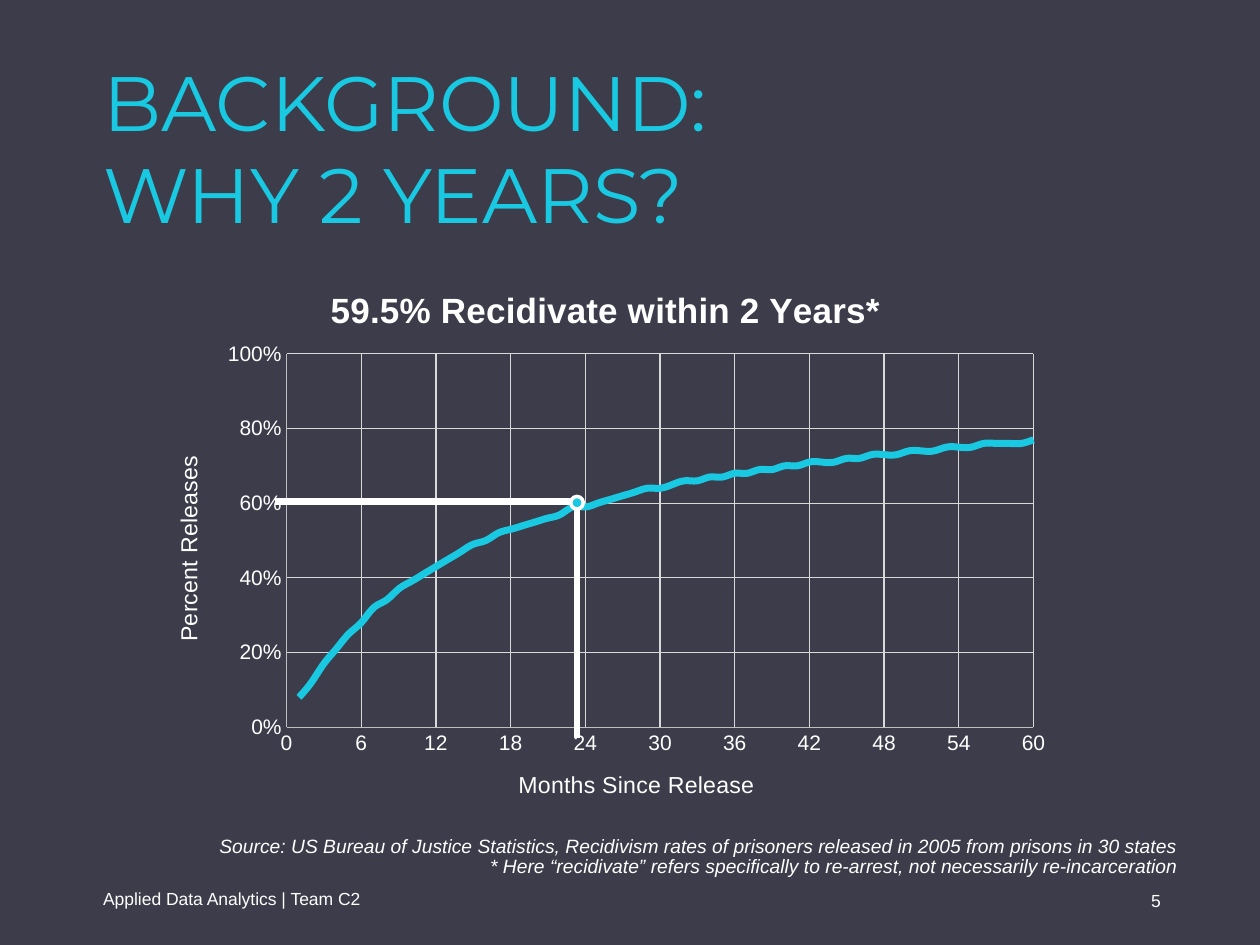
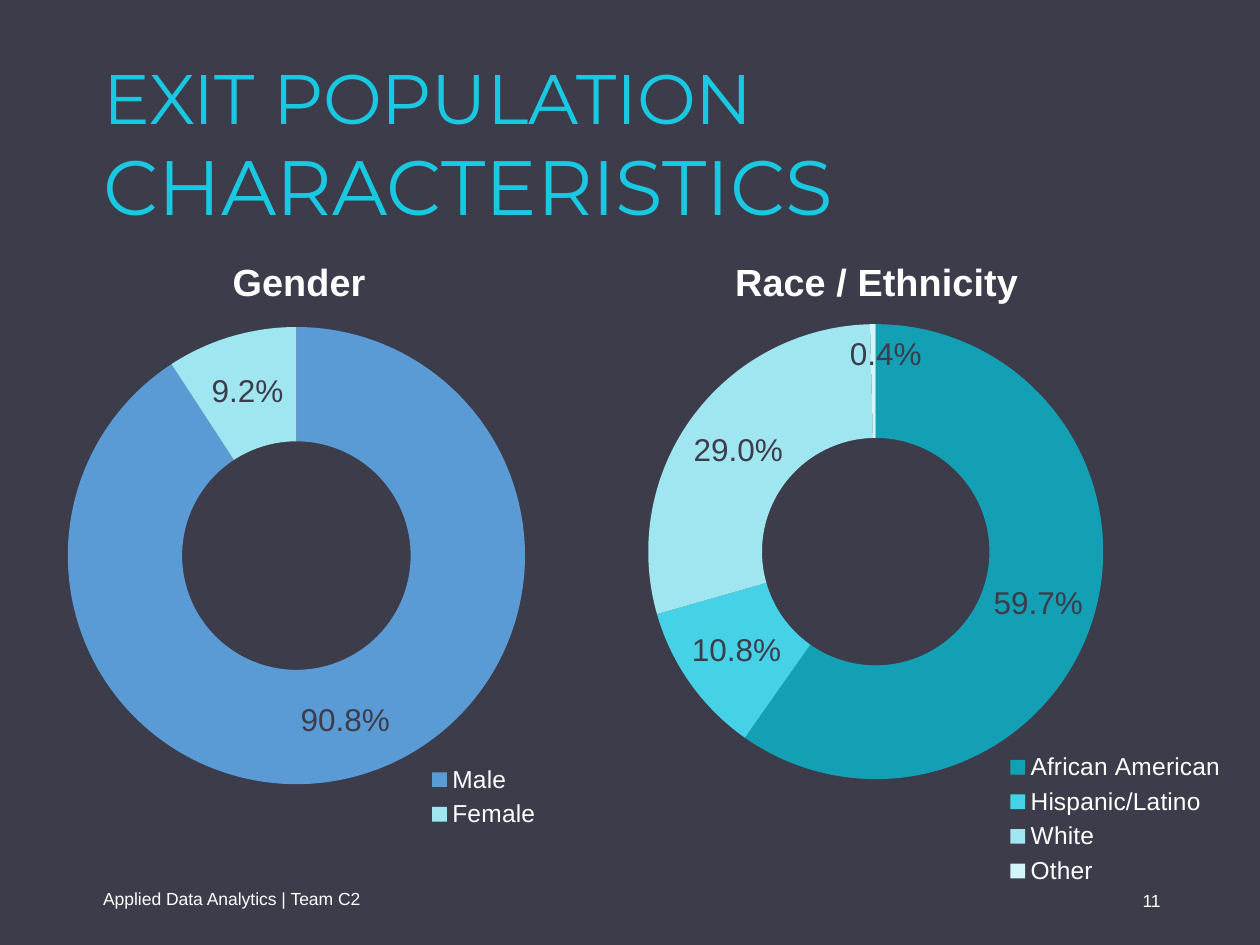
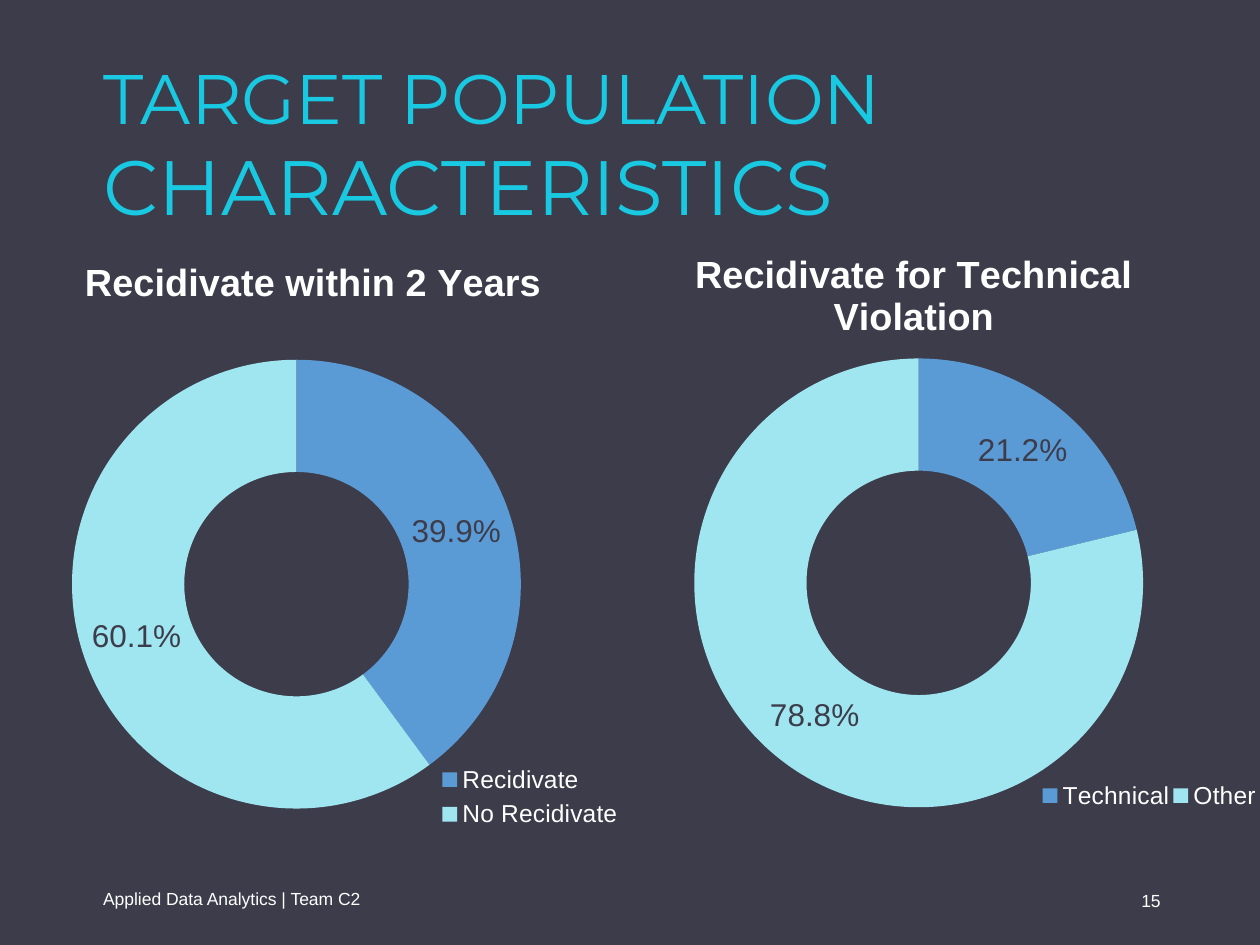
from lxml import etree
from pptx import Presentation
from pptx.chart.data import CategoryChartData, XyChartData
from pptx.dml.color import RGBColor
from pptx.enum.chart import (XL_CHART_TYPE, XL_LEGEND_POSITION, XL_MARKER_STYLE,
                             XL_TICK_MARK)
from pptx.enum.shapes import MSO_CONNECTOR, MSO_SHAPE
from pptx.enum.text import MSO_ANCHOR, MSO_AUTO_SIZE, PP_ALIGN
from pptx.oxml.ns import qn
from pptx.util import Inches, Pt

BACKGROUND, WHITE, ACCENT = "3C3C4B", "FFFFFF", "19C8E1"
GRID, AXIS = "D9D9D9", "BFBFBF"
PAIR = ["5B9BD5", "A0E6F0"]
TEALS = ["14A0B4", "46D2E6", "A0E6F0", "D2F5FA"]
PERCENT = '0.0"%"'

# Share of releases re-arrested by month 1 to 60, in percent
REARRESTED = [
    8, 12, 17, 21, 25, 28, 32, 34, 37, 39, 41, 43, 45, 47, 49, 50, 52, 53, 54, 55,
    56, 57, 59, 59, 60, 61, 62, 63, 64, 64, 65, 66, 66, 67, 67, 68, 68, 69, 69, 70,
    70, 71, 71, 71, 72, 72, 73, 73, 73, 74, 74, 74, 75, 75, 75, 76, 76, 76, 76, 77]


def rgb(color):
    return RGBColor.from_string(color)


def inches(values):
    return [Inches(value) for value in values]


def set_font(font, size, color=WHITE, name="Arial", bold=False, italic=False):
    font.size, font.name, font.bold, font.italic = Pt(size), name, bold, italic
    font.color.rgb = rgb(color)


def set_line(line, color, width):
    line.color.rgb = rgb(color)
    line.width = Pt(width)


def place(part, x, y, w=None, h=None, inner=False, offset=False):
    """Give a chart part a manual layout in fractions of the chart."""
    for old in part.findall(qn("c:layout")):
        part.remove(old)
    layout = etree.Element(qn("c:layout"))
    manual = etree.SubElement(layout, qn("c:manualLayout"))
    settings = [("layoutTarget", "inner" if inner else None),
                ("xMode", None if offset else "edge"),
                ("yMode", None if offset else "edge"),
                ("x", x), ("y", y), ("w", w), ("h", h)]
    for tag, value in settings:
        if value is not None:
            etree.SubElement(manual, qn("c:" + tag)).set("val", str(value))
    leading = [qn("c:tx"), qn("c:legendPos"), qn("c:idx")]
    part.insert(sum(child.tag in leading for child in part), layout)


class Deck:
    def __init__(self):
        self.prs = Presentation()
        self.prs.slide_width, self.prs.slide_height = Inches(10), Inches(7.5)
        fill = self.prs.slide_master.background.fill
        fill.solid()
        fill.fore_color.rgb = rgb(BACKGROUND)
        self.slide = None

    def add_slide(self, number, title_lines, height):
        """Start a slide; title_lines holds (text, size) pairs."""
        self.slide = self.prs.slides.add_slide(self.prs.slide_layouts[5])
        self.text("Applied Data Analytics | Team C2", (0.72, 6.93, 2.33, 0.4), 10,
                  anchor=MSO_ANCHOR.MIDDLE)
        self.text(str(number), (7.06, 6.95, 2.25, 0.4), 10, align=PP_ALIGN.RIGHT,
                  anchor=MSO_ANCHOR.MIDDLE)
        title = self.slide.shapes.title
        title.left, title.top, title.width, title.height = inches(
            (0.72, 0.38, 7.28, height))
        frame = title.text_frame
        frame.text = "\n".join(text for text, _ in title_lines)
        frame.word_wrap = True
        frame.auto_size = MSO_AUTO_SIZE.SHAPE_TO_FIT_TEXT
        frame.vertical_anchor = MSO_ANCHOR.TOP
        for paragraph, (_, size) in zip(frame.paragraphs, title_lines):
            paragraph.alignment = PP_ALIGN.LEFT
            set_font(paragraph.font, size, ACCENT, "Montserrat")

    def text(self, text, box, size, align=PP_ALIGN.LEFT, anchor=MSO_ANCHOR.TOP,
             italic=False):
        frame = self.slide.shapes.add_textbox(*inches(box)).text_frame
        frame.word_wrap = True
        frame.vertical_anchor = anchor
        paragraph = frame.paragraphs[0]
        paragraph.text = text
        paragraph.alignment = align
        set_font(paragraph.font, size, italic=italic)
        return paragraph

    def line(self, start, end):
        line = self.slide.shapes.add_connector(
            MSO_CONNECTOR.STRAIGHT, *inches(start + end))
        set_line(line.line, WHITE, 3.5)
        etree.SubElement(line._element.spPr, qn("a:effectLst"))

    def dot(self, box):
        dot = self.slide.shapes.add_shape(MSO_SHAPE.OVAL, *inches(box))
        dot.shadow.inherit = False
        dot.fill.solid()
        dot.fill.fore_color.rgb = rgb(ACCENT)
        set_line(dot.line, WHITE, 2)

    def chart(self, kind, box, data, title, font_size, title_size):
        chart = self.slide.shapes.add_chart(kind, *inches(box), data).chart
        set_font(chart.font, font_size)
        chart.has_title = True
        chart.chart_title.include_in_layout = False
        heading = chart.chart_title.text_frame
        heading.text = title
        set_font(heading.paragraphs[0].font, title_size, bold=True)
        return chart

    def axis(self, axis, title, maximum, step, number_format):
        axis.minimum_scale, axis.maximum_scale = 0, maximum
        axis.major_unit = step
        axis.major_tick_mark = axis.minor_tick_mark = XL_TICK_MARK.NONE
        axis.has_major_gridlines = True
        set_line(axis.major_gridlines.format.line, GRID, 0.75)
        set_line(axis.format.line, AXIS, 0.75)
        set_font(axis.tick_labels.font, 12)
        axis.tick_labels.number_format = number_format
        axis.tick_labels.number_format_is_linked = False
        axis.axis_title.text_frame.text = title
        set_font(axis.axis_title.text_frame.paragraphs[0].font, 13.2)

    def curve(self, box, title, values):
        data = XyChartData()
        curve = data.add_series("Series 1")
        for month, value in enumerate(values, 1):
            curve.add_data_point(month, value / 100)
        chart = self.chart(XL_CHART_TYPE.XY_SCATTER_SMOOTH_NO_MARKERS, box, data,
                           title, 10, 20)
        chart.has_legend = False
        self.axis(chart.category_axis, "Months Since Release", 60, 6, "General")
        self.axis(chart.value_axis, "Percent Releases", 1, 0.2, "0%")
        plot = chart.plots[0]
        plot.vary_by_categories = False
        series = plot.series[0]
        series.marker.style = XL_MARKER_STYLE.NONE
        set_line(series.format.line, ACCENT, 4)
        series._element.find(qn("c:smooth")).set("val", "1")
        place(chart._chartSpace.chart.plotArea, 0.15, 0.16, 0.82, 0.66, inner=True)

    def doughnut(self, box, title, title_at, shares, colors, ring, legend):
        """Draw shares as a ring; title_at, ring and legend are chart fractions."""
        data = CategoryChartData()
        data.categories = list(shares)
        data.add_series(title, list(shares.values()))
        chart = self.chart(XL_CHART_TYPE.DOUGHNUT, box, data, title, 18, 21.6)
        place(chart.chart_title._element, *title_at)
        chart.has_legend = True
        chart.legend.position = XL_LEGEND_POSITION.RIGHT
        chart.legend.include_in_layout = False
        set_font(chart.legend.font, 14)
        place(chart.legend._element, *legend)
        place(chart._chartSpace.chart.plotArea, *ring, inner=True)
        series = chart.plots[0].series[0]
        labels = series.data_labels
        labels.show_value, labels.show_percentage = True, False
        labels.number_format, labels.number_format_is_linked = PERCENT, False
        set_font(labels.font, 18, BACKGROUND)
        for index, color in enumerate(colors):
            point = series.points[index]
            point.format.fill.solid()
            point.format.fill.fore_color.rgb = rgb(color)
            point.format.line.fill.background()
        return series

    def shift_label(self, series, index, x, y):
        """Move one data label by fractions of the chart."""
        label = series.points[index].data_label
        set_font(label.font, 18, BACKGROUND)
        element = label._dLbl
        place(element, x, y, offset=True)
        number_format = etree.Element(
            qn("c:numFmt"), formatCode=PERCENT, sourceLinked="0")
        element.find(qn("c:layout")).addnext(number_format)


def main():
    deck = Deck()

    deck.add_slide(5, [("BACKGROUND:", 44), ("WHY 2 YEARS?", 44)], 1.58)
    deck.curve((1.19, 2.09, 7.23, 4.49), "59.5% Recidivate within 2 Years*",
               REARRESTED)
    deck.line((2.18, 3.98), (4.56, 3.98))
    deck.line((4.58, 5.86), (4.58, 4.04))
    deck.dot((4.53, 3.94, 0.1, 0.1))
    source = deck.text(
        "Source: US Bureau of Justice Statistics, Recidivism rates of prisoners "
        "released in 2005 from prisons in 30 states\v"
        "* Here “recidivate” refers specifically to re-arrest, "
        "not necessarily re-incarceration",
        (0.72, 6.59, 8.73, 0.54), 11, align=PP_ALIGN.RIGHT, italic=True)
    source.line_spacing = 0.9
    source.space_before = Pt(10)

    deck.add_slide(11, [("EXIT POPULATION", 40), ("CHARACTERISTICS", 44)], 1.51)
    deck.doughnut((0.23, 1.89, 4.88, 5.04), "Gender", (0.32, 0.02),
                  {"Male": 90.8, "Female": 9.2}, PAIR,
                  (0.06, 0.14, 0.75, 0.72), (0.64, 0.82, 0.2, 0.12))
    race = deck.doughnut(
        (4.95, 1.89, 4.88, 5.24), "Race / Ethnicity", (0.17, 0.02),
        {"African American": 59.7, "Hispanic/Latino": 10.8, "White": 29, "Other": 0.4},
        TEALS, (0.04, 0.13, 0.74, 0.69), (0.62, 0.77, 0.36, 0.22))
    deck.shift_label(race, 3, 0.02, -0.04)

    deck.add_slide(15, [("TARGET POPULATION", 40), ("CHARACTERISTICS", 44)], 1.51)
    deck.doughnut((0.23, 1.89, 4.88, 5.04), "Recidivate within 2 Years", (0.08, 0.02),
                  {"Recidivate": 39.9, "No Recidivate": 60.1}, PAIR,
                  (0.07, 0.19, 0.73, 0.71), (0.66, 0.82, 0.31, 0.12))
    deck.doughnut((5.12, 1.88, 4.88, 5.04), "Recidivate for Technical Violation",
                  (0.07, 0.01), {"Technical": 21.2, "Other": 78.8}, PAIR,
                  (0.08, 0.19, 0.73, 0.71), (0.64, 0.85, 0.36, 0.06))

    deck.prs.save("out.pptx")


if __name__ == "__main__":
    main()
